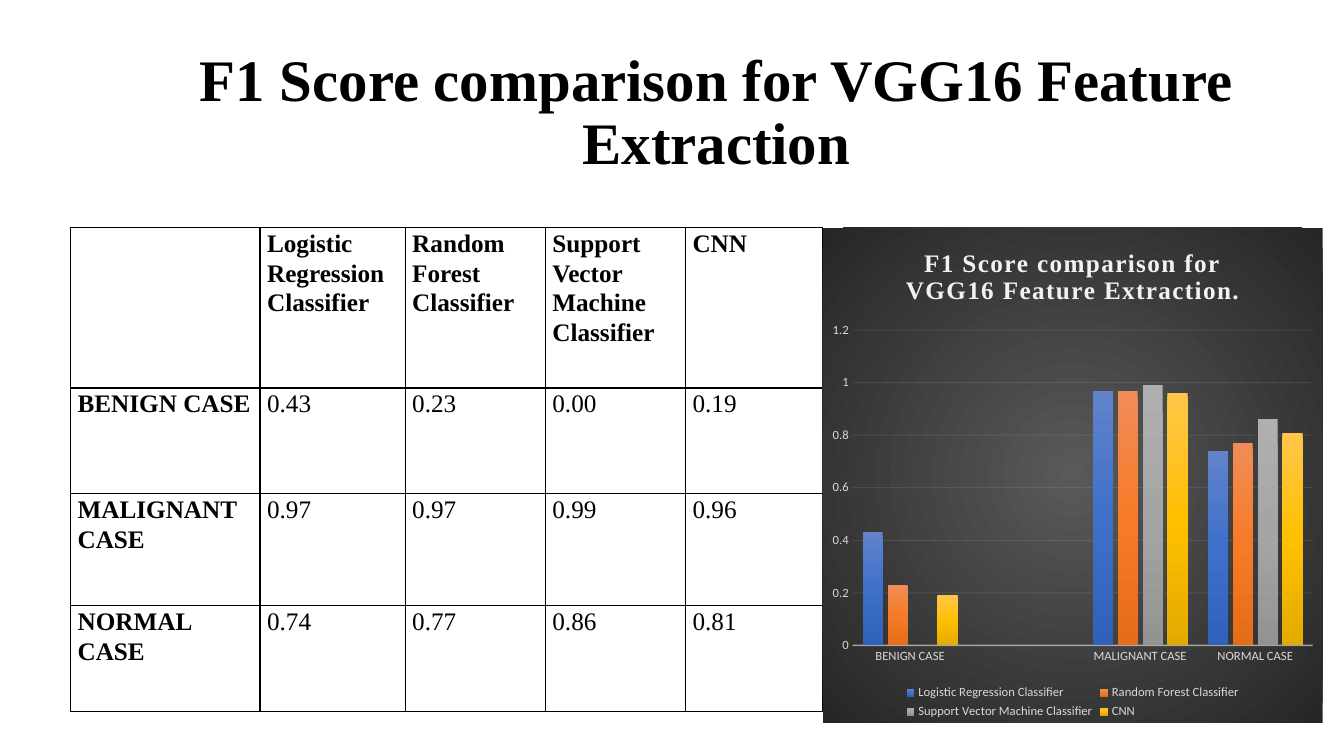
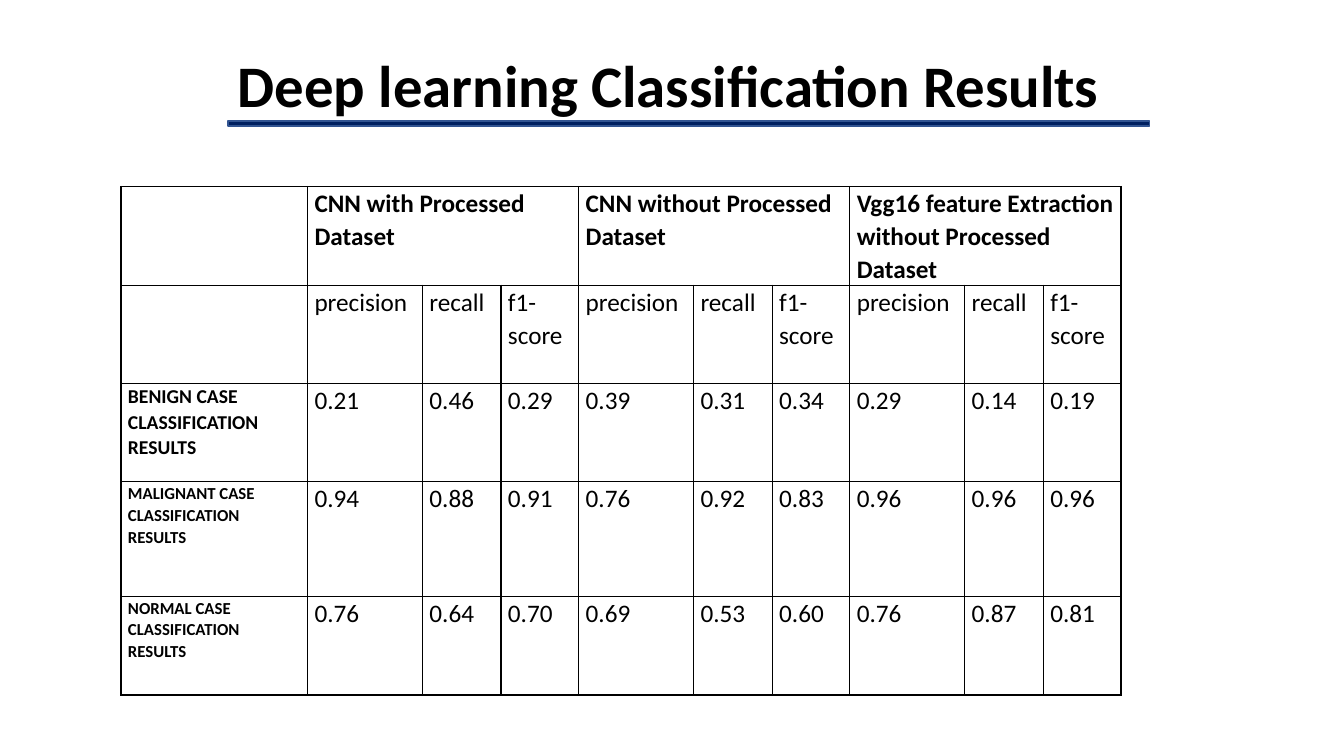
from dataclasses import dataclass

from lxml import etree
from pptx import Presentation
from pptx import util as u
from pptx.chart import data as chart_data
from pptx.dml import color
from pptx.enum import chart as chart_enum, shapes, text
from pptx.oxml import ns


@dataclass(frozen=True)
class Theme:
    serif: str = "Times New Roman"
    sans: str = "Calibri"
    ink: str = "000000"
    rule_fill: str = "002060"
    rule_line: str = "325491"
    chart_title: str = "F2F2F2"
    chart_text: str = "D9D9D9"
    chart_line: str = "F2F2F2"
    backdrop: tuple = ("595959", "262626")
    series: tuple = (
        ("6183CB", "3E70CA", "3062BB"),
        ("F18C57", "F67B28", "E56C19"),
        ("AFAFAF", "A5A5A5", "939393"),
        ("FFC64B", "FFC000", "E3AB00"),
    )
    title_size: float = 42
    body_size: float = 18
    label_sizes: tuple = (14, 12, 12)
    chart_size: float = 9


THEME = Theme()
WIDTH, HEIGHT = u.Inches(13.33), u.Inches(7.5)

CLASSIFIERS = ["Logistic Regression Classifier", "Random Forest Classifier",
               "Support Vector Machine Classifier", "CNN"]
F1_SCORES = {
    "BENIGN CASE": [0.43, 0.23, 0.00, 0.19],
    "MALIGNANT CASE": [0.97, 0.97, 0.99, 0.96],
    "NORMAL CASE": [0.74, 0.77, 0.86, 0.81],
}
METHODS = ["CNN with Processed Dataset", "CNN without Processed Dataset",
           "Vgg16 feature Extraction without Processed Dataset"]
MEASURES = ["precision", "recall", "f1-score"]
RESULTS = {
    "BENIGN CASE": [0.21, 0.46, 0.29, 0.39, 0.31, 0.34, 0.29, 0.14, 0.19],
    "MALIGNANT CASE": [0.94, 0.88, 0.91, 0.76, 0.92, 0.83, 0.96, 0.96, 0.96],
    "NORMAL CASE": [0.76, 0.64, 0.70, 0.69, 0.53, 0.60, 0.76, 0.87, 0.81],
}


# Lengths, as percentages of the slide
def across(percent):
    return round(WIDTH * percent / 100)


def down(percent):
    return round(HEIGHT * percent / 100)


def place(left, top, width, height):
    return across(left), down(top), across(width), down(height)


# Formatting
def apply(target, values):
    for name, value in values.items():
        setattr(target, name, value)


def rgb(value):
    return color.RGBColor.from_string(value)


def style_font(font, name, size, ink, bold=False):
    apply(font, {"name": name, "size": u.Pt(size), "bold": bold})
    font.color.rgb = rgb(ink)


def write(frame, words, font, frame_format, para_format):
    apply(frame, {"word_wrap": True, **frame_format})
    para = frame.paragraphs[0]
    apply(para, para_format)
    span = para.add_run()
    span.text = words
    style_font(span.font, **font)


def gradient(shades, radial=False):
    fill = etree.Element(ns.qn("a:gradFill"), rotWithShape="1")
    stops = etree.SubElement(fill, ns.qn("a:gsLst"))
    for index, shade in enumerate(shades):
        position = 100000 * index // (len(shades) - 1)
        stop = etree.SubElement(stops, ns.qn("a:gs"), pos=str(position))
        etree.SubElement(stop, ns.qn("a:srgbClr"), val=shade)
    if radial:
        centre = etree.SubElement(fill, ns.qn("a:path"), path="circle")
        etree.SubElement(centre, ns.qn("a:fillToRect"),
                         {side: "50000" for side in "ltrb"})
    else:
        etree.SubElement(fill, ns.qn("a:lin"), ang="5400000", scaled="0")
    return fill


def style_line(line, ink, width, opacity):
    line.color.rgb = rgb(ink)
    line.width = u.Pt(width)
    for tint in line.fill._xPr.iter(ns.qn("a:srgbClr")):
        etree.SubElement(tint, ns.qn("a:alpha"), val=str(opacity * 1000))


# Titles
def add_title(page, words, box, face, frame_format, para_format):
    frame = page.shapes.add_textbox(*place(*box)).text_frame
    font = {"name": face, "size": THEME.title_size, "ink": THEME.ink, "bold": True}
    write(frame, words, font, frame_format, para_format)


def add_rule(page, box):
    rule = page.shapes.add_shape(shapes.MSO_SHAPE.RECTANGLE, *place(*box))
    rule.shadow.inherit = False
    rule.fill.solid()
    rule.fill.fore_color.rgb = rgb(THEME.rule_fill)
    rule.line.color.rgb = rgb(THEME.rule_line)
    rule.line.width = u.Pt(1)


# Tables
def border_cell(cell):
    properties = cell._tc.get_or_add_tcPr()
    for index, side in enumerate("LRTB"):
        line = etree.Element(ns.qn(f"a:ln{side}"), w=str(u.Pt(1)))
        fill = etree.SubElement(line, ns.qn("a:solidFill"))
        etree.SubElement(fill, ns.qn("a:srgbClr"), val=THEME.ink)
        properties.insert(index, line)


def add_grid(page, left, top, columns, rows, face, para_format):
    box = place(left, top, sum(columns), sum(rows))
    table = page.shapes.add_table(len(rows), len(columns), *box).table
    apply(table, {"first_row": False, "horz_banding": False})
    for column, width in zip(table.columns, columns):
        column.width = across(width)
    for row, height in zip(table.rows, rows):
        row.height = down(height)
    side = u.Inches(0.07)
    margins = {"margin_left": side, "margin_right": side,
               "margin_top": 0, "margin_bottom": 0}
    for cell in table.iter_cells():
        cell.fill.background()
        border_cell(cell)
        apply(cell, margins)

    def put(row, column, words, bold=False, size=THEME.body_size):
        font = {"name": face, "size": size, "ink": THEME.ink, "bold": bold}
        write(table.cell(row, column).text_frame, words, font, {}, para_format)

    return table, put


def put_scores(put, scores, first_row):
    for row, values in enumerate(scores.values(), first_row):
        for column, value in enumerate(values, 1):
            put(row, column, f"{value:.2f}")


# Chart
def add_score_chart(page, box, heading):
    benign, *others = F1_SCORES
    source = chart_data.CategoryChartData()
    source.categories = [benign, "", *others]
    for name, (first, *rest) in zip(CLASSIFIERS, zip(*F1_SCORES.values())):
        source.add_series(name, [first, None, *rest])
    chart = page.shapes.add_chart(chart_enum.XL_CHART_TYPE.COLUMN_CLUSTERED,
                                  *place(*box), source).chart
    small = {"name": THEME.sans, "size": THEME.chart_size, "ink": THEME.chart_text}
    style_font(chart.font, **small)

    # Backdrop and columns
    space = chart._chartSpace
    backdrop = etree.Element(ns.qn("c:spPr"))
    backdrop.append(gradient(THEME.backdrop, radial=True))
    space.find(ns.qn("c:txPr")).addprevious(backdrop)
    plot = chart.plots[0]
    apply(plot, {"gap_width": 100, "overlap": -24, "vary_by_categories": False})
    for series, shades in zip(plot.series, THEME.series):
        series.invert_if_negative = False
        series._element.get_or_add_spPr().append(gradient(shades))

    # Heading and legend
    chart.has_title = True
    para = chart.chart_title.text_frame.paragraphs[0]
    span = para.add_run()
    span.text = heading
    style_font(span.font, THEME.serif, THEME.body_size, THEME.chart_title, True)
    span._r.get_or_add_rPr().set("spc", "100")
    chart.has_legend = True
    apply(chart.legend, {"position": chart_enum.XL_LEGEND_POSITION.BOTTOM,
                         "include_in_layout": False})
    style_font(chart.legend.font, **small)

    # Axes
    for axis in (chart.category_axis, chart.value_axis):
        apply(axis, {"major_tick_mark": chart_enum.XL_TICK_MARK.NONE,
                     "minor_tick_mark": chart_enum.XL_TICK_MARK.NONE})
        style_font(axis.tick_labels.font, **small)
    style_line(chart.category_axis.format.line, THEME.chart_line, 1, 54)
    apply(chart.value_axis, {"minimum_scale": 0, "maximum_scale": 1.2,
                             "major_unit": 0.2, "has_major_gridlines": True})
    chart.value_axis.format.line.fill.background()
    style_line(chart.value_axis.major_gridlines.format.line,
               THEME.chart_line, 0.75, 10)


# Slides
def build_f1_page(page):
    add_title(page, "F1 Score comparison for VGG16 Feature Extraction",
              (13.5, 5.47, 79.6, 19.2), THEME.serif,
              {"vertical_anchor": text.MSO_ANCHOR.MIDDLE},
              {"alignment": text.PP_ALIGN.CENTER, "line_spacing": 0.9})
    _, put = add_grid(page, 5.25, 30.13, [14.1, 10.8, 10.43, 10.43, 10.2],
                      [21.2, 14, 14.8, 14], THEME.serif,
                      {"line_spacing": 1.07, "space_after": u.Pt(8)})
    for column, name in enumerate(CLASSIFIERS, 1):
        put(0, column, name, bold=True)
    for row, case in enumerate(F1_SCORES, 1):
        put(row, 0, case, bold=True)
    put_scores(put, F1_SCORES, 1)
    add_score_chart(page, (61.21, 30.13, 37.2, 65.47),
                    "F1 Score comparison for VGG16 Feature Extraction.")


def build_results_page(page):
    add_title(page, "Deep learning Classification Results",
              (16.95, 5.2, 83.05, 19.33), THEME.sans,
              {"vertical_anchor": text.MSO_ANCHOR.TOP}, {"line_spacing": 1.07})
    span = len(MEASURES)
    table, put = add_grid(page, 9, 24.67,
                          [13.88] + [8.55, 5.85, 5.78] * len(METHODS),
                          [13.07, 13, 13, 15.2, 13], THEME.sans,
                          {"line_spacing": 1.07})
    for index, method in enumerate(METHODS):
        first = 1 + index * span
        table.cell(0, first).merge(table.cell(0, first + span - 1))
        put(0, first, method, bold=True)
        for column, measure in enumerate(MEASURES, first):
            put(1, column, measure)
    for row, (case, size) in enumerate(zip(RESULTS, THEME.label_sizes), 2):
        put(row, 0, f"{case} CLASSIFICATION RESULTS", bold=True, size=size)
    put_scores(put, RESULTS, 2)
    add_rule(page, (16.95, 16, 68.57, 0.67))


def main():
    deck = Presentation()
    apply(deck, {"slide_width": WIDTH, "slide_height": HEIGHT})
    for build in (build_f1_page, build_results_page):
        build(deck.slides.add_slide(deck.slide_layouts[6]))
    deck.save("out.pptx")


if __name__ == "__main__":
    main()
